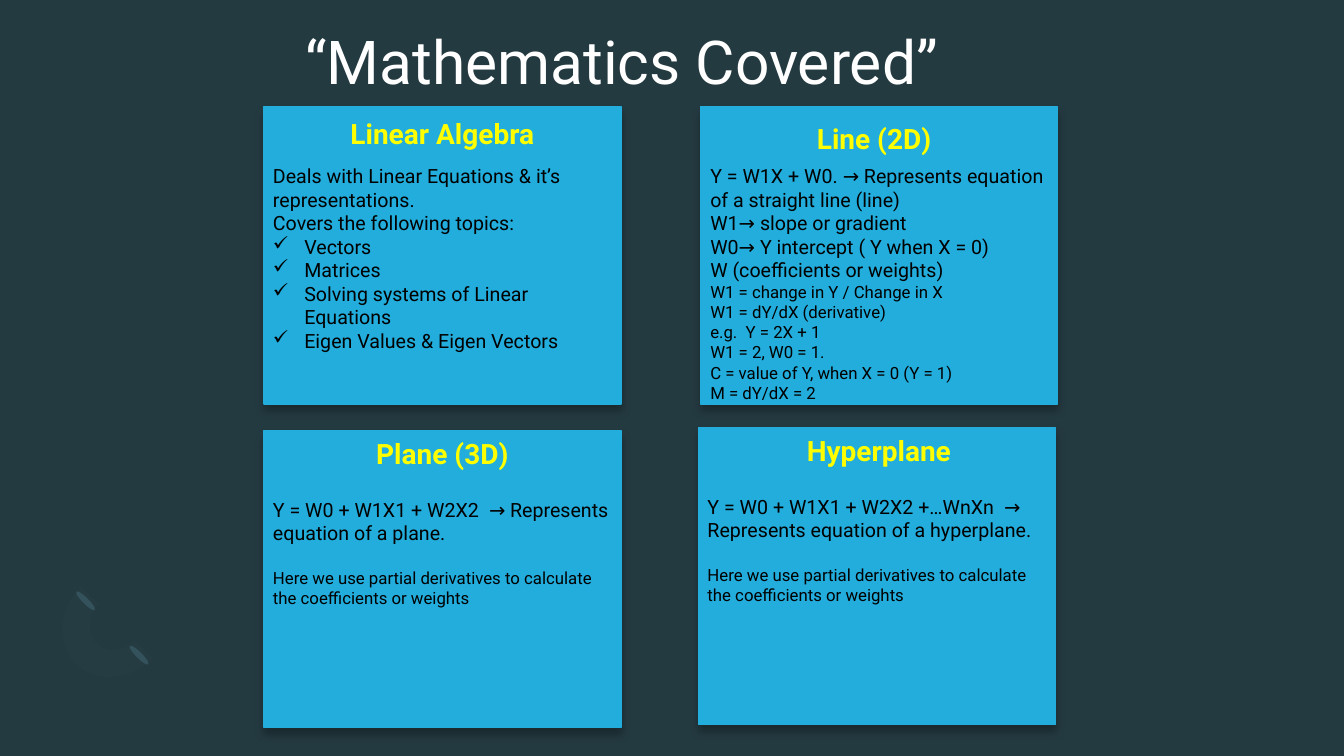
from dataclasses import dataclass
from math import cos, pi, sin

from lxml.etree import SubElement
from pptx import Presentation
from pptx.dml.color import RGBColor
from pptx.enum.shapes import MSO_SHAPE
from pptx.enum.text import MSO_ANCHOR, MSO_AUTO_SIZE, PP_ALIGN
from pptx.oxml.ns import qn
from pptx.util import Cm, Pt

BACKGROUND = RGBColor(0x24, 0x3A, 0x41)
CARD_BLUE = RGBColor(0x23, 0xAD, 0xDC)
YELLOW = RGBColor(0xFF, 0xFF, 0x00)
WHITE = RGBColor(0xFF, 0xFF, 0xFF)
BLACK = RGBColor(0x00, 0x00, 0x00)
LEAF = RGBColor(0x33, 0x51, 0x5B)
ARC = RGBColor(0x7B, 0xA8, 0xB6)

FONT = "Roboto"
CARD_WIDTH, CARD_HEIGHT = 9, 7.49
TOPIC_INDENT = Cm(0.79)
DERIVATIVES = ("Here we use partial derivatives to calculate the coefficients or weights",)


@dataclass
class Card:
    """One topic card; positions are in centimetres."""
    heading: str
    corner: tuple
    heading_at: tuple  # left, top, height
    body_at: tuple  # left, top, height
    lines: tuple
    topics: tuple = ()
    details: tuple = ()
    detail_gap: float = 0


CARDS = (
    Card("Linear Algebra", (6.65, 2.69), (6.65, 2.21, 1.7), (6.63, 4.01, 5.56),
         lines=("Deals with Linear Equations & it’s representations.",
                "Covers the following topics:"),
         topics=("Vectors", "Matrices", "Solving systems of Linear Equations",
                 "Eigen Values & Eigen Vectors")),
    Card("Line (2D)", (17.65, 2.69), (17.53, 2.34, 1.7), (17.65, 4.01, 7.34),
         lines=("Y = W1X + W0. → Represents equation of a straight line (line)",
                "W1→ slope or gradient",
                "W0→ Y intercept ( Y when X = 0)",
                "W (coefficients or weights)"),
         details=("W1 = change in Y / Change in X", "W1 = dY/dX (derivative)",
                  "e.g.  Y = 2X + 1", "W1 = 2, W0 = 1.",
                  "C = value of Y, when X = 0 (Y = 1)", "M = dY/dX = 2")),
    Card("Plane (3D)", (6.65, 10.85), (6.65, 10.64, 1.32), (6.63, 12.42, 5.13),
         lines=("Y = W0 + W1X1 + W2X2  → Represents equation of a plane.",),
         details=DERIVATIVES, detail_gap=16.4),
    Card("Hyperplane", (17.6, 10.77), (17.65, 10.57, 1.32), (17.58, 12.34, 5.74),
         lines=("Y = W0 + W1X1 + W2X2 +…WnXn  → Represents equation of a hyperplane.",),
         details=DERIVATIVES, detail_gap=16.4),
)


def format_runs(para, size, color, bold=False):
    for span in para.runs:
        span.font.name = FONT
        span.font.size = Pt(size)
        span.font.color.rgb = color
        span.font.bold = bold


def set_fill(shape, color):
    shape.shadow.inherit = False
    shape.fill.solid()
    shape.fill.fore_color.rgb = color


def set_alpha(color_element, percent):
    SubElement(color_element, qn("a:alpha"), val=str(percent * 1000))


def add_drop_shadow(shape):
    effects = shape.fill._xPr.find(qn("a:effectLst"))
    shadow = SubElement(effects, qn("a:outerShdw"), blurRad=str(Pt(6)),
                        dist=str(Pt(4)), dir="5400000", rotWithShape="0")
    set_alpha(SubElement(shadow, qn("a:srgbClr"), val="000000"), 27)


def add_check_mark(para):
    properties = para._p.get_or_add_pPr()
    properties.set("marL", str(TOPIC_INDENT))
    properties.set("indent", str(-TOPIC_INDENT))
    SubElement(properties, qn("a:buChar"), char="✓")


def add_text_box(slide, place):
    left, top, height = place
    box = slide.shapes.add_textbox(Cm(left), Cm(top), Cm(CARD_WIDTH), Cm(height))
    box.text_frame.word_wrap = True
    return box.text_frame


def add_panel(slide, corner):
    left, top = corner
    panel = slide.shapes.add_shape(MSO_SHAPE.RECTANGLE, Cm(left), Cm(top),
                                   Cm(CARD_WIDTH), Cm(CARD_HEIGHT))
    set_fill(panel, CARD_BLUE)
    panel.line.color.rgb = CARD_BLUE
    panel.line.width = Pt(1)
    add_drop_shadow(panel)


def add_heading(slide, card):
    frame = add_text_box(slide, card.heading_at)
    frame.vertical_anchor = MSO_ANCHOR.BOTTOM
    frame.text = card.heading
    para = frame.paragraphs[0]
    para.alignment = PP_ALIGN.CENTER
    para.line_spacing = 0.8
    format_runs(para, 20, YELLOW, bold=True)


def add_body(slide, card):
    frame = add_text_box(slide, card.body_at)
    frame.auto_size = MSO_AUTO_SIZE.SHAPE_TO_FIT_TEXT
    frame.text = "\n".join(card.lines + card.topics + card.details)
    first_topic = len(card.lines)
    first_detail = first_topic + len(card.topics)
    for index, para in enumerate(frame.paragraphs):
        format_runs(para, 12 if index >= first_detail else 14, BLACK)
        if index == first_detail:
            para.space_before = Pt(card.detail_gap)
        if first_topic <= index < first_detail:
            add_check_mark(para)


def add_leaf(slide, left, top):
    leaf = slide.shapes.add_shape(MSO_SHAPE.OVAL, Cm(left), Cm(top), Cm(0.15), Cm(0.66))
    set_fill(leaf, LEAF)
    leaf.line.fill.background()
    leaf.rotation = 135


def add_arc(slide):
    center_x, top, radius_x, radius_y, steps = 2.43, 15.47, 1.28, 1.47, 24
    angles = [pi * step / steps for step in range(steps + 1)]
    outer = [(cos(angle), sin(angle)) for angle in angles]
    inner = [(x / 2, y / 2) for x, y in reversed(outer)]
    points = [(Cm(center_x + radius_x * x), Cm(top + radius_y * y))
              for x, y in outer + inner]
    builder = slide.shapes.build_freeform(*points[0])
    builder.add_line_segments(points[1:], close=True)
    arc = builder.convert_to_shape()
    set_fill(arc, ARC)
    set_alpha(arc.fill._xPr.find(qn("a:solidFill"))[0], 2)
    arc.line.fill.background()
    arc.rotation = 45


def format_title(slide):
    title = slide.shapes.title
    title.left, title.top, title.width, title.height = Cm(7.7), Cm(0.56), Cm(20.85), Cm(1.93)
    frame = title.text_frame
    frame.text = "“Mathematics Covered”"
    frame.margin_left = frame.margin_right = frame.margin_top = frame.margin_bottom = 0
    frame.vertical_anchor = MSO_ANCHOR.MIDDLE
    frame.paragraphs[0].alignment = PP_ALIGN.LEFT
    format_runs(frame.paragraphs[0], 43.2, WHITE)


def main():
    deck = Presentation()
    deck.slide_width, deck.slide_height = Cm(33.87), Cm(19.05)
    page = deck.slides.add_slide(deck.slide_layouts[5])
    page.background.fill.solid()
    page.background.fill.fore_color.rgb = BACKGROUND

    # Faint ornament at the lower left
    add_leaf(page, 3.43, 16.18)
    add_leaf(page, 2.08, 14.81)
    add_arc(page)

    # Title and the four topic cards
    format_title(page)
    for card in CARDS:
        add_panel(page, card.corner)
    for card in CARDS:
        add_heading(page, card)
        add_body(page, card)

    deck.save("out.pptx")


if __name__ == "__main__":
    main()
